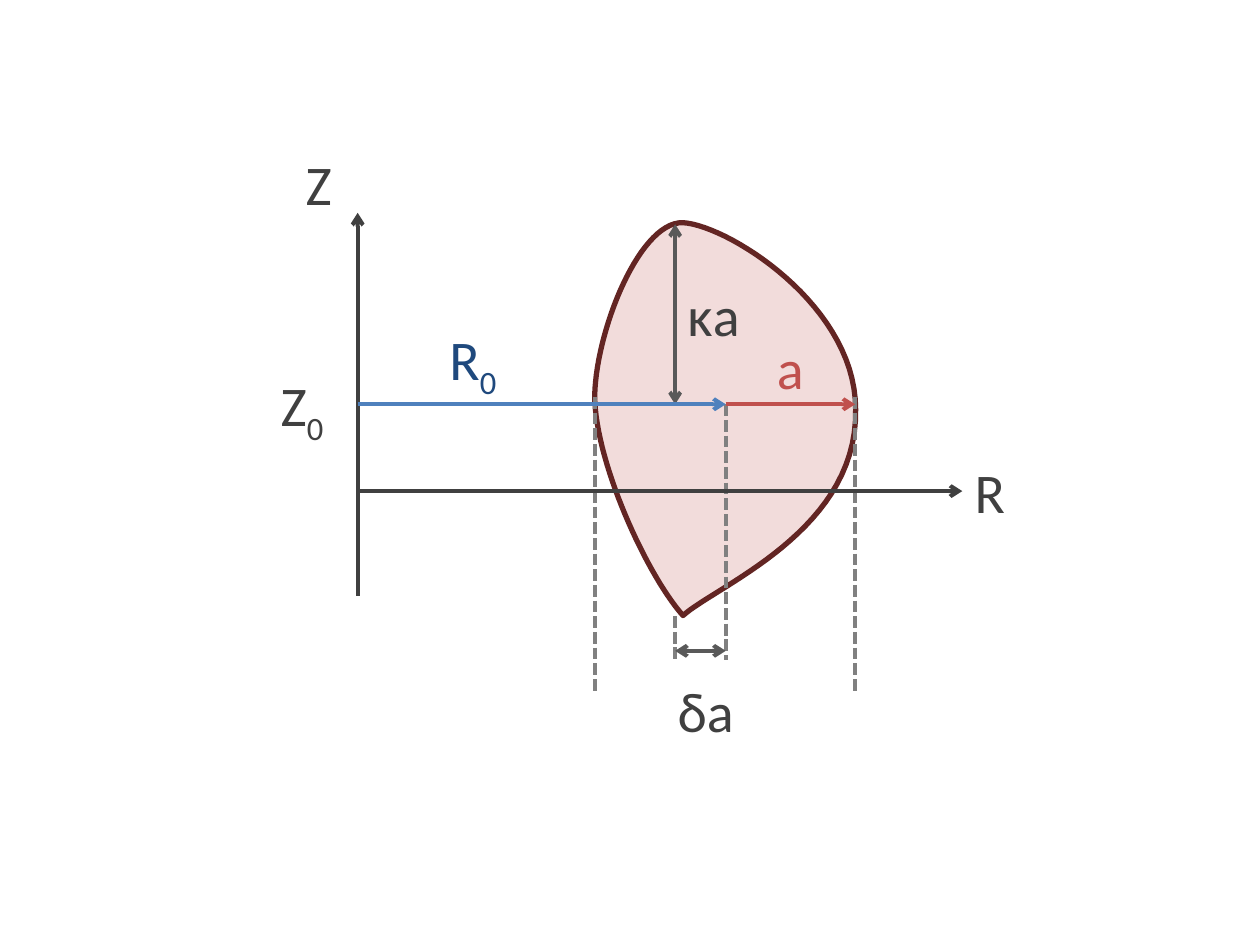
import pptx
import pptx.util
import pptx.dml.color
import pptx.enum.dml
import pptx.enum.shapes
import pptx.enum.text
import pptx.oxml
import pptx.oxml.ns

Cm = pptx.util.Cm
Pt = pptx.util.Pt
RGBColor = pptx.dml.color.RGBColor

DARK = RGBColor(0x40, 0x40, 0x40)
GREY = RGBColor(0x59, 0x59, 0x59)
GUIDE = RGBColor(0x80, 0x80, 0x80)
NAVY = RGBColor(0x1F, 0x49, 0x7D)
BLUE = RGBColor(0x4F, 0x81, 0xBD)
RED = RGBColor(0xC0, 0x50, 0x4D)
MAROON = RGBColor(0x63, 0x25, 0x23)
PINK = RGBColor(0xF2, 0xDC, 0xDB)

# Heights and radii, in cm from the top of the Z axis
INNER, TIP, CENTRE, OUTER = 4.78, 6.4, 7.42, 10.03
MIDPLANE, R_AXIS = 3.86, 5.61
CURVE_STEPS = 30


def add_label(slide, left, top, width, text, subscript="", color=DARK, size=32, font="Calibri"):
    label = slide.shapes.add_textbox(Cm(left), Cm(top), Cm(width), Cm(1.63))
    frame = label.text_frame
    frame.word_wrap = False
    frame.auto_size = pptx.enum.text.MSO_AUTO_SIZE.SHAPE_TO_FIT_TEXT
    for part in filter(None, (text, subscript)):
        run = frame.paragraphs[0].add_run()
        run.text = part
        run.font.name = font
        run.font.size = Pt(size)
        run.font.color.rgb = color
    if subscript:
        run.font._element.set("baseline", "-25000")


def add_line(slide, start, end, color, ends=(), dashed=False):
    line = slide.shapes.add_connector(
        pptx.enum.shapes.MSO_CONNECTOR.STRAIGHT,
        Cm(start[0]), Cm(start[1]), Cm(end[0]), Cm(end[1]))
    line.line.color.rgb = color
    line.line.width = Pt(2.25)
    if dashed:
        line.line.dash_style = pptx.enum.dml.MSO_LINE.SQUARE_DOT
    outline = line.line._get_or_add_ln()
    for arrow_end in ends:
        arrow = pptx.oxml.parse_xml(f"<a:{arrow_end} {pptx.oxml.ns.nsdecls('a')} type='arrow'/>")
        outline.append(arrow)
    line._element.spPr.append(
        pptx.oxml.parse_xml(f"<a:effectLst {pptx.oxml.ns.nsdecls('a')}/>"))


def bezier(p0, p1, p2, p3):
    """Points along a cubic curve, without its start."""
    for step in range(1, CURVE_STEPS + 1):
        t = step / CURVE_STEPS
        u = 1 - t
        yield tuple(u**3 * a + 3 * u * u * t * b + 3 * u * t * t * c + t**3 * d
                    for a, b, c, d in zip(p0, p1, p2, p3))


def add_plasma(slide, left, top):
    """D-shaped cross-section with an X-point at the bottom."""
    start = (0, 3.48)
    curves = [
        ((0.03, 2.16), (0.91, -0.03), (1.78, 0)),
        ((2.67, 0.05), (5.26, 1.65), (5.26, 3.76)),
        ((5.31, 6.22), (2.44, 7.32), (1.78, 7.92)),
        ((1.04, 7.09), (0, 4.8), start),
    ]
    points, corner = [], start
    for curve in curves:
        points += bezier(corner, *curve)
        corner = curve[-1]
    builder = slide.shapes.build_freeform(Cm(left + start[0]), Cm(top + start[1]))
    builder.add_line_segments([(Cm(left + x), Cm(top + y)) for x, y in points], close=True)
    plasma = builder.convert_to_shape()
    plasma.shadow.inherit = False
    plasma.fill.solid()
    plasma.fill.fore_color.rgb = PINK
    plasma.line.color.rgb = MAROON
    plasma.line.width = Pt(3)


def add_diagram(slide, left, top):
    def line(x1, y1, x2, y2, color, *ends, dashed=False):
        add_line(slide, (left + x1, top + y1), (left + x2, top + y2), color, ends, dashed)

    def label(x, y, width, *texts, color=DARK):
        add_label(slide, left + x, top + y, width, *texts, color=color)

    # Z axis and cross-section
    line(0, 7.72, 0, 0, DARK, "tailEnd")
    add_plasma(slide, left + INNER, top + 0.2)

    # Dashed guides
    for x, y1, y2 in [(INNER, 3.71, 9.7), (OUTER, 3.71, 9.7),
                      (CENTRE, MIDPLANE, 9.02), (TIP, 8.13, 9.02)]:
        line(x, y1, x, y2, GUIDE, dashed=True)

    # R axis
    line(0, R_AXIS, 12.19, R_AXIS, DARK, "tailEnd")

    # Dimensions
    line(CENTRE, MIDPLANE, OUTER, MIDPLANE, RED, "tailEnd")
    line(TIP, MIDPLANE, TIP, 0.23, GREY, "headEnd", "tailEnd")
    line(0, MIDPLANE, CENTRE, MIDPLANE, BLUE, "tailEnd")
    line(TIP, 8.83, CENTRE, 8.83, GREY, "headEnd", "tailEnd")

    # Labels
    label(-1.3, -1.4, 1.04, "Z")
    label(-1.8, 3.05, 1.42, "Z", "0")
    label(12.19, 4.8, 1.14, "R")
    label(1.6, 2.13, 1.52, "R", "0", color=NAVY)
    label(8.2, 2.31, 1.07, "a", color=RED)
    label(TIP, 1.24, 1.57, "κa")
    label(6.2, 9.22, 1.65, "δa")


presentation = pptx.Presentation()
presentation.slide_width = Cm(25.4)
presentation.slide_height = Cm(19.05)
geometry_slide = presentation.slides.add_slide(presentation.slide_layouts[6])
add_diagram(geometry_slide, left=7.21, top=4.29)
presentation.save("out.pptx")
